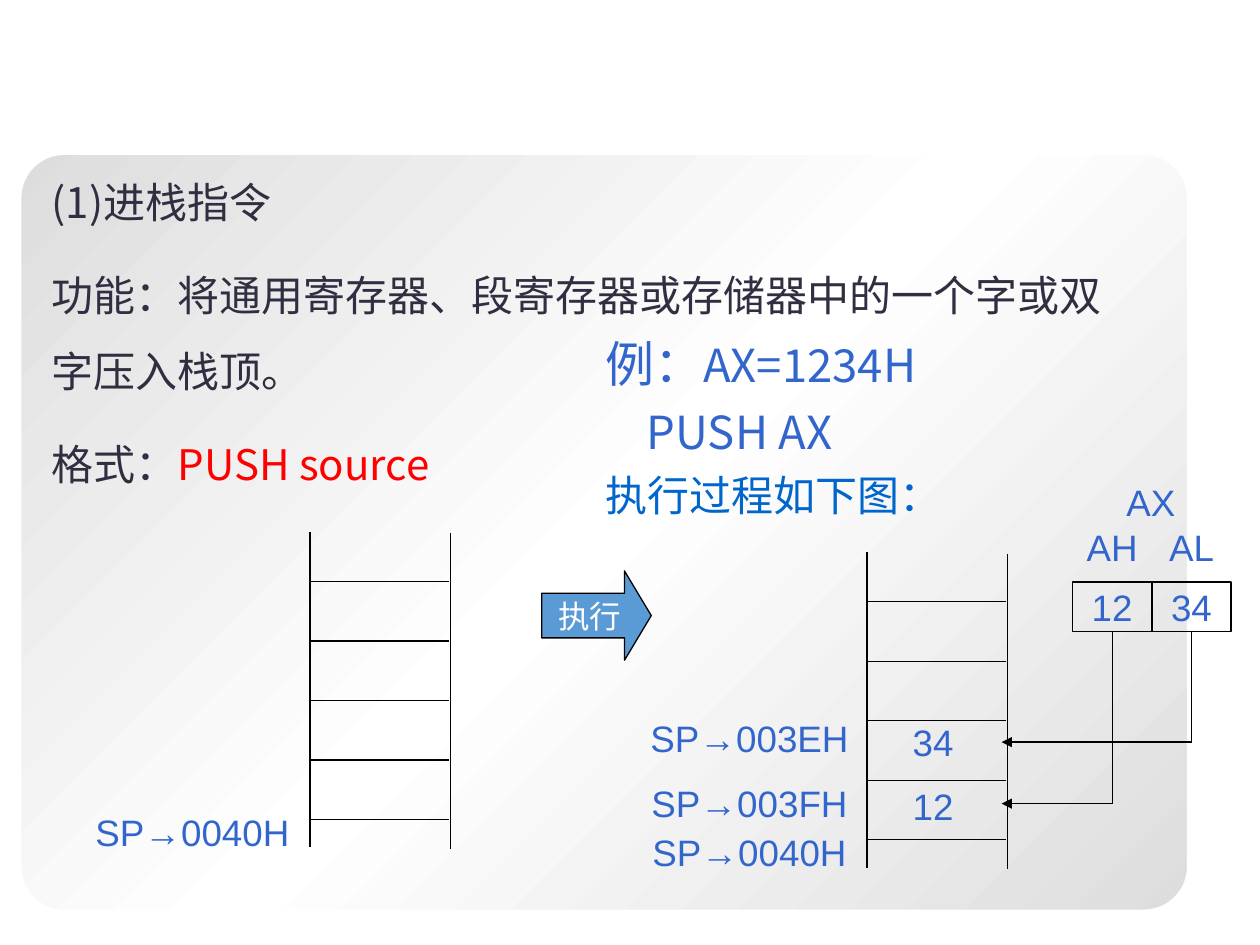
"""Build the PUSH instruction slide with its before and after stack diagrams."""
from lxml.etree import SubElement
from copy import deepcopy
from pptx import Presentation
from pptx.dml.color import RGBColor
from pptx.enum.shapes import MSO_CONNECTOR, MSO_SHAPE
from pptx.enum.text import MSO_ANCHOR, PP_ALIGN
from pptx.oxml.ns import qn
from pptx.util import Cm, Pt

BLACK = RGBColor(0x00, 0x00, 0x00)
WHITE = RGBColor(0xFF, 0xFF, 0xFF)
GREY = RGBColor(0xDD, 0xDD, 0xDD)
INK = RGBColor(0x2F, 0x2F, 0x41)
RED = RGBColor(0xFF, 0x00, 0x00)
BLUE = RGBColor(0x33, 0x66, 0xCC)
DEEP_BLUE = RGBColor(0x00, 0x66, 0xCC)
ARROW_BLUE = RGBColor(0x5B, 0x9B, 0xD5)
CJK = "Noto Sans CJK SC"


def add_line(x1, y1, x2, y2, arrow=False):
    line = slide.shapes.add_connector(MSO_CONNECTOR.STRAIGHT, Cm(x1), Cm(y1), Cm(x2), Cm(y2))
    line.line.color.rgb = BLACK
    line.line.width = Pt(0.75)
    if arrow:
        SubElement(line.line._get_or_add_ln(), qn("a:tailEnd"), type="triangle")
    SubElement(line._element.spPr, qn("a:effectLst"))
    return line


def put_text(sp, text, size=21, color=BLUE):
    tf = sp.text_frame
    tf.text = text
    tf.word_wrap = False
    tf.vertical_anchor = MSO_ANCHOR.MIDDLE
    p = tf.paragraphs[0]
    p.alignment = PP_ALIGN.CENTER
    font = p.runs[0].font
    font.name, font.size, font.color.rgb = "Arial", Pt(size), color


prs = Presentation()
prs.slide_width, prs.slide_height = Cm(25.4), Cm(19.05)
slide = prs.slides.add_slide(prs.slide_layouts[1])
title, body = slide.placeholders
title._element.getparent().remove(title._element)

panel = slide.shapes.add_shape(MSO_SHAPE.ROUNDED_RECTANGLE, Cm(0.38), Cm(3.07), Cm(23.6), Cm(15.32))
panel.adjustments[0] = 0.06
panel.shadow.inherit = False
panel.line.color.rgb = WHITE
panel.line.width = Pt(3)
panel.fill.gradient()
panel.fill.gradient_angle = 315
stops = panel._element.spPr.find(qn("a:gradFill")).find(qn("a:gsLst"))
stops.insert(1, deepcopy(stops[0]))
for stop, position, color in zip(panel.fill.gradient_stops, (0, 0.5, 1), (GREY, WHITE, GREY)):
    stop.position = position
    stop.color.rgb = color
body._element.addprevious(panel._element)

body.left, body.top, body.width, body.height = Cm(0.79), Cm(2.92), Cm(22.23), Cm(6.96)
example = slide.shapes.add_textbox(Cm(11.95), Cm(6.6), Cm(7.9), Cm(4.11))
texts = [
    (body, 10, 1.5, 0, [("(1)进栈指令", 24, INK, CJK)]),
    (body, 10, 1.5, 0, [("功能：将通用寄存器、段寄存器或存储器中的一个字或双字压入栈顶。", 24, INK, CJK)]),
    (body, 10, 1.5, 0, [("格式：", 24, INK, CJK), ("PUSH source", 24, RED, CJK)]),
    (example, 6.5, 1, 0, [("例：", 28, BLUE, CJK), ("AX=1234H", 26, BLUE, CJK)]),
    (example, 6.5, 1, 0.84, [("PUSH AX", 26, BLUE, CJK)]),
    (example, 6.5, 1, 0, [("执行过程如下图：", 24, DEEP_BLUE, "Arial")]),
]
for sp, before, spacing, margin, runs in texts:
    tf = sp.text_frame
    tf.word_wrap = True
    first = not tf.text
    p = tf.paragraphs[0] if first else tf.add_paragraph()
    p.line_spacing = spacing
    p.space_before = Pt(0 if first else before)
    pPr = p._p.get_or_add_pPr()
    pPr.set("marL", str(Cm(margin)))
    pPr.set("indent", "0")
    SubElement(pPr, qn("a:buNone"))
    for text, size, color, name in runs:
        r = p.add_run()
        r.text = text
        r.font.name, r.font.size, r.font.color.rgb = name, Pt(size), color
        SubElement(r._r.get_or_add_rPr(), qn("a:ea"), typeface=CJK)

for x, y in ((6.25, 10.72), (17.48, 11.13)):
    add_line(x, y, x, y + 6.36)
    add_line(x + 2.83, y + 0.03, x + 2.83, y + 6.39)
    for row in range(5):
        rung = y + 1 + 1.2 * row
        add_line(x, rung, x + 2.8, rung)

labels = [
    ("SP→0040H", 1.58, 15.57, 4.6, 2.39),
    ("SP→003EH", 12.81, 14.27, 4.6, 1.19),
    ("SP→003FH", 12.81, 15.49, 4.6, 1.4),
    ("SP→0040H", 12.81, 15.98, 4.6, 2.39),
    ("34", 18.01, 14.55, 1.6, 0.79),
    ("12", 18.01, 15.85, 1.6, 0.79),
    ("AX", 22.4, 9.73, 1.6, 0.79),
]
for text, x, y, w, h in labels:
    put_text(slide.shapes.add_textbox(Cm(x), Cm(y), Cm(w), Cm(h)), text)

arrow = slide.shapes.add_shape(MSO_SHAPE.RIGHT_ARROW, Cm(10.92), Cm(11.51), Cm(2.21), Cm(1.8))
arrow.adjustments[1] = 0.3
arrow.shadow.inherit = False
arrow.fill.solid()
arrow.fill.fore_color.rgb = ARROW_BLUE
arrow.line.color.rgb = BLACK
arrow.line.width = Pt(0.75)
put_text(arrow, "执行", 18, WHITE)

for i, (name, value, y) in enumerate((("AH", "12", 16.2), ("AL", "34", 14.96))):
    x = 21.62 + 1.6 * i
    put_text(slide.shapes.add_textbox(Cm(x), Cm(10.52), Cm(1.6), Cm(1)), name)
    cell = slide.shapes.add_shape(MSO_SHAPE.RECTANGLE, Cm(x), Cm(11.73), Cm(1.6), Cm(1))
    cell.shadow.inherit = False
    cell.fill.background()
    cell.line.color.rgb = BLACK
    cell.line.width = Pt(1)
    put_text(cell, value)
    add_line(x + 0.8, 12.73, x + 0.8, y).begin_connect(cell, 2)
    add_line(x + 0.8, y, 20.19, y, arrow=True)

prs.save("out.pptx")
